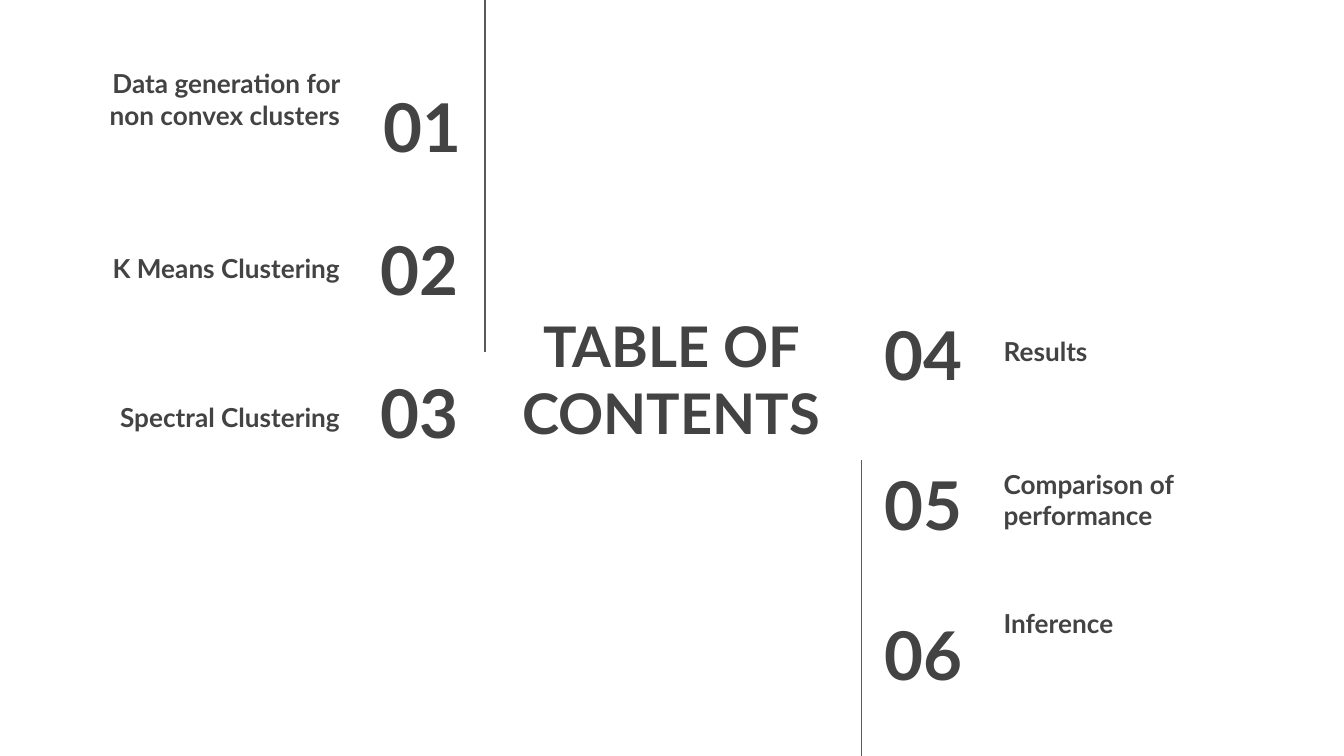
from dataclasses import dataclass

from lxml.etree import SubElement
from pptx import Presentation
from pptx.dml.color import RGBColor
from pptx.enum.shapes import MSO_CONNECTOR
from pptx.enum.text import MSO_ANCHOR, MSO_AUTO_SIZE, PP_ALIGN
from pptx.oxml.ns import qn
from pptx.util import Pt


@dataclass(frozen=True)
class Theme:
    font: str = "Lato"
    ink: RGBColor = RGBColor(0x43, 0x43, 0x43)
    rule: RGBColor = RGBColor(0x59, 0x59, 0x59)
    paper: RGBColor = RGBColor(0xFF, 0xFF, 0xFF)
    title_size: int = 30
    number_size: int = 36
    label_size: int = 14
    rule_width: float = 0.75
    inset: float = 7.2


class ContentsSlide:
    ROW_HEIGHT = 45.4

    def __init__(self, presentation, theme):
        self.theme = theme
        self.slide = presentation.slides.add_slide(presentation.slide_layouts[5])
        fill = self.slide.background.fill
        fill.solid()
        fill.fore_color.rgb = theme.paper

    def style_text(self, shape, text, size, align, anchor):
        frame = shape.text_frame
        frame.text = text
        frame.word_wrap = True
        frame.auto_size = MSO_AUTO_SIZE.NONE
        frame.vertical_anchor = anchor
        frame.margin_left = frame.margin_right = Pt(self.theme.inset)
        frame.margin_top = frame.margin_bottom = Pt(self.theme.inset)
        paragraph = frame.paragraphs[0]
        paragraph.alignment = align
        font = paragraph.runs[0].font
        font.name, font.size, font.bold = self.theme.font, Pt(size), True
        font.color.rgb = self.theme.ink

    def title(self, text, left, top, width, height):
        heading = self.slide.shapes.title
        heading.left, heading.top = Pt(left), Pt(top)
        heading.width, heading.height = Pt(width), Pt(height)
        self.style_text(heading, text, self.theme.title_size, PP_ALIGN.CENTER, MSO_ANCHOR.MIDDLE)

    def row_text(self, text, left, top, width, size, align, anchor):
        box = self.slide.shapes.add_textbox(Pt(left), Pt(top), Pt(width), Pt(self.ROW_HEIGHT))
        self.style_text(box, text, size, align, anchor)

    def number(self, value, left, top, width, align):
        self.row_text(f"{value:02d}", left, top, width,
                      self.theme.number_size, align, MSO_ANCHOR.MIDDLE)

    def label(self, text, left, top, width, align):
        self.row_text(text, left, top, width,
                      self.theme.label_size, align, MSO_ANCHOR.BOTTOM)

    def vertical_rule(self, x, top, bottom):
        rule = self.slide.shapes.add_connector(
            MSO_CONNECTOR.STRAIGHT, Pt(x), Pt(top), Pt(x), Pt(bottom))
        rule.line.color.rgb = self.theme.rule
        rule.line.width = Pt(self.theme.rule_width)
        SubElement(rule._element.spPr, qn("a:effectLst"))


def main():
    presentation = Presentation()
    presentation.slide_width, presentation.slide_height = Pt(720), Pt(405)
    contents = ContentsSlide(presentation, Theme())

    # Heading in the middle
    contents.title("TABLE OF CONTENTS", 266.4, 165.6, 186.5, 74.2)

    # Left chapters: label text, label top, number left
    left_chapters = [
        ("Data generation for non convex clusters", 31.7, 167),
        ("K Means Clustering", 113.8, 165.6),
        ("Spectral Clustering", 193.7, 165.6),
    ]
    for row, (topic, label_top, number_left) in enumerate(left_chapters):
        contents.number(row + 1, number_left, 44.8 + 76.6 * row, 87.1, PP_ALIGN.RIGHT)
        contents.label(topic, 33.8, label_top, 155.5, PP_ALIGN.RIGHT)

    # Right chapters: label text, label top
    right_chapters = [
        ("Results", 158.4),
        ("Comparison of performance", 246.2),
        ("Inference", 303.8),
    ]
    for row, (topic, label_top) in enumerate(right_chapters):
        number = len(left_chapters) + row + 1
        contents.number(number, 466.6, 167 + 80.3 * row, 84.2, PP_ALIGN.LEFT)
        contents.label(topic, 530.6, label_top, 155.5, PP_ALIGN.LEFT)

    # Rules beside the number columns
    contents.vertical_rule(259.9, 0, 188.6)
    contents.vertical_rule(461.5, 246.2, 405)

    presentation.save("out.pptx")


if __name__ == "__main__":
    main()
